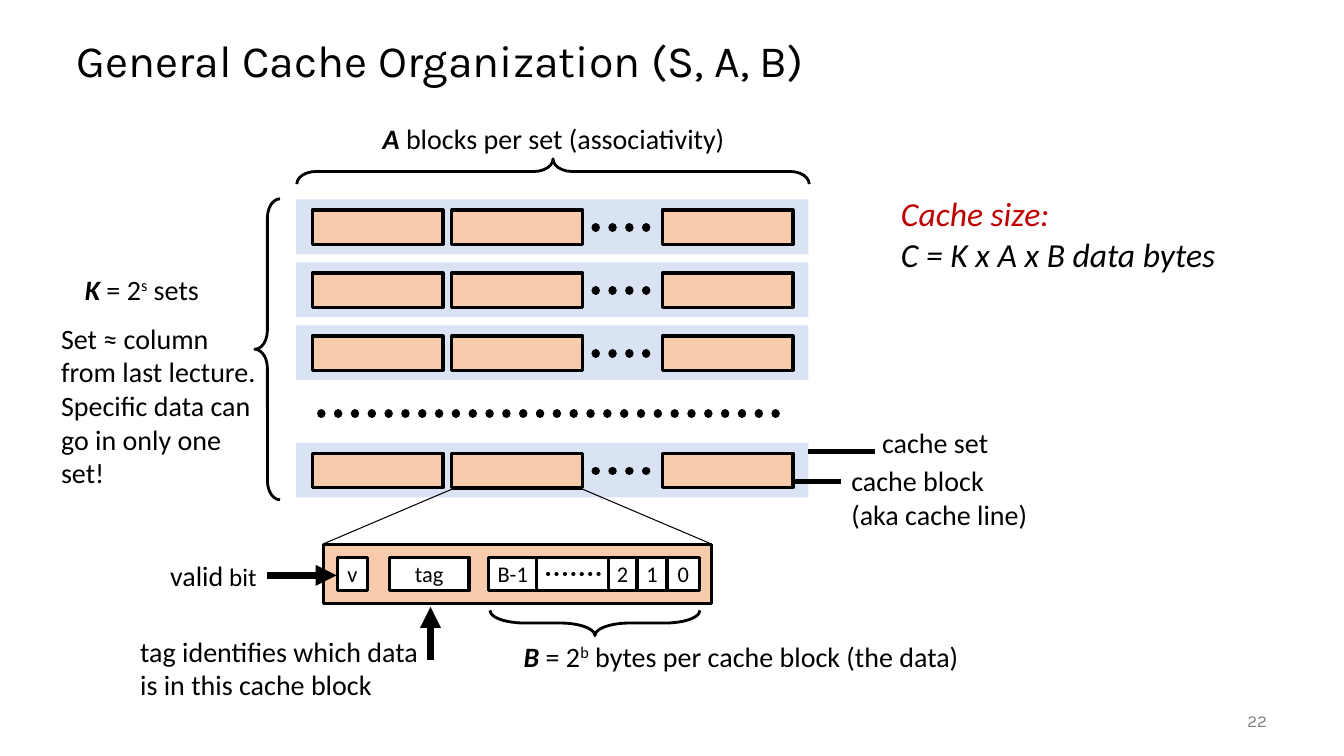
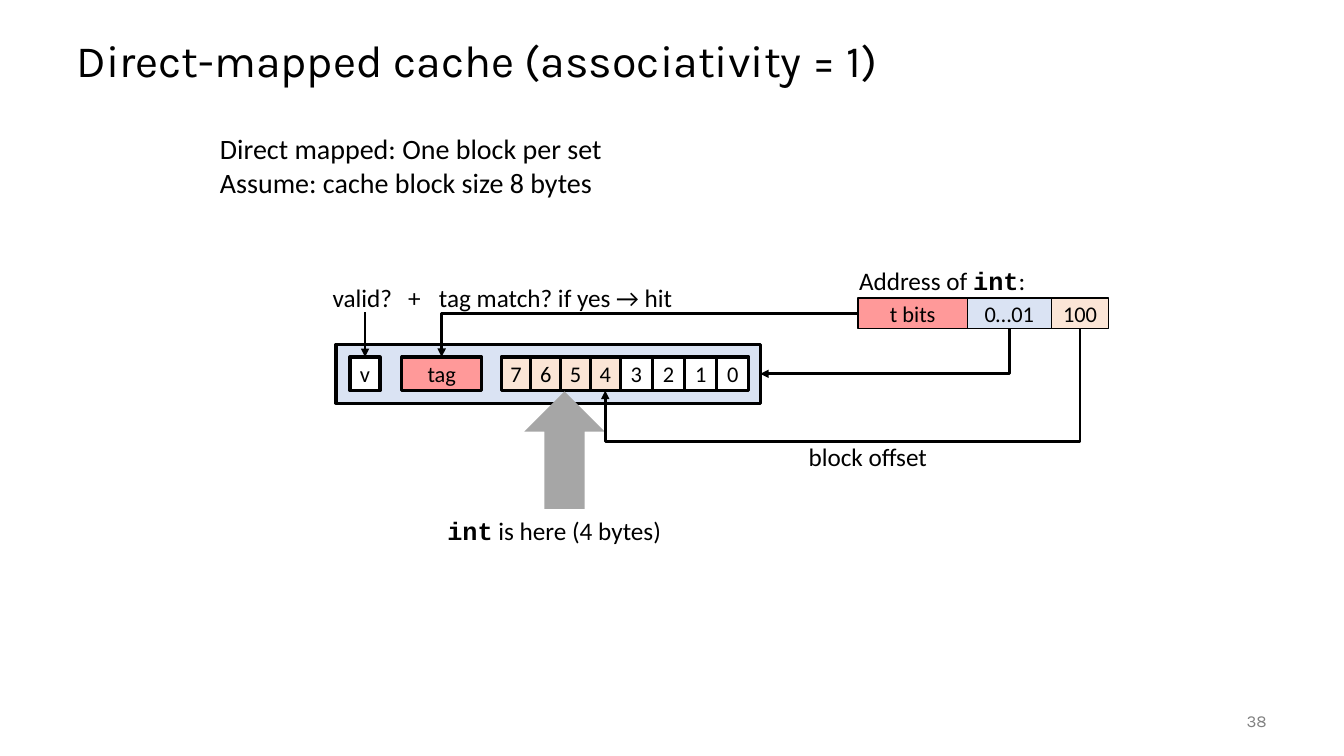
from dataclasses import dataclass

from lxml import etree
from pptx import Presentation
from pptx.dml.color import RGBColor as RGB
from pptx.enum.dml import MSO_LINE as Dash
from pptx.enum.shapes import MSO_CONNECTOR as Wire, MSO_SHAPE as Form
from pptx.enum.text import MSO_ANCHOR as Anchor, PP_ALIGN as Align
from pptx.oxml.ns import qn
from pptx.util import Pt


@dataclass(frozen=True)
class Theme:
    black: str = "000000"
    white: str = "FFFFFF"
    grey: str = "808080"
    steel: str = "A6A6A6"
    red: str = "C00000"
    pink: str = "FF9999"
    blue: str = "DAE3F3"
    peach: str = "F8CBAD"
    cream: str = "FBE5D6"
    body: str = "Calibri"
    head: str = "Karla"
    code: str = "Courier New"
    title: int = 32
    large: int = 24
    text: int = 20
    label: int = 18
    cell: int = 16
    note: int = 12


T = Theme()
STRONG = {"bold": True, "italic": True}
RAISED = {"raised": True}
CODE = {"font": T.code, "bold": True}


def write(shape, *paras, align=Align.LEFT, anchor=Anchor.TOP, wrap=False,
          space=None, **look):
    """Fill a shape with paragraphs; each is a string or a list of
    strings and (string, format) pairs that override the shared look."""
    frame = shape.text_frame
    frame.word_wrap = wrap
    frame.vertical_anchor = anchor
    for i, para in enumerate(paras):
        line = frame.add_paragraph() if i else frame.paragraphs[0]
        line.alignment = align
        line.line_spacing = space
        for part in [para] if isinstance(para, str) else para:
            words, own = (part, {}) if isinstance(part, str) else part
            form = {"size": T.text, "font": T.body, "color": T.black} | look | own
            run = line.add_run()
            run.text = words
            run.font.name = form["font"]
            run.font.size = Pt(form["size"])
            run.font.color.rgb = RGB.from_string(form["color"])
            run.font.bold = form.get("bold", False)
            run.font.italic = form.get("italic", False)
            if form.get("raised"):
                run._r.get_or_add_rPr().set("baseline", "30000")


def draw(page, kind, at, fill=None, weight=0, dots=False, arrow=None, adj=(), turn=0):
    """Add a shape (left, top, width, height) or a connector (x1, y1, x2, y2)."""
    wire = isinstance(kind, Wire)
    add = page.shapes.add_connector if wire else page.shapes.add_shape
    item = add(kind, *map(Pt, at))
    if weight:
        item.line.color.rgb = RGB.from_string(T.black)
        item.line.width = Pt(weight)
    else:
        item.line.fill.background()
    if wire:
        props = item._element.spPr
        edge = props.find(qn("a:ln"))
        if dots:
            item.line.dash_style = Dash.ROUND_DOT
            edge.set("cap", "rnd")
        if arrow:
            etree.SubElement(edge, qn(f"a:{arrow}End"), type="triangle")
        etree.SubElement(props, qn("a:effectLst"))
        return item
    item.shadow.inherit = False
    item.rotation = turn
    for i, value in enumerate(adj):
        item.adjustments[i] = value
    if fill:
        item.fill.solid()
        item.fill.fore_color.rgb = RGB.from_string(fill)
    else:
        item.fill.background()
    return item


deck = Presentation()
deck.slide_width, deck.slide_height = Pt(960), Pt(540)

# Titles and slide numbers
pages = []
for title, number in [("General Cache Organization (S, A, B)", "22"),
                      ("Direct-mapped cache (associativity = 1)", "38")]:
    page = deck.slides.add_slide(deck.slide_layouts[5])
    name = page.shapes.title
    name.left, name.top, name.width, name.height = map(Pt, (47.5, 18, 864, 54))
    write(name, title, size=T.title, font=T.head, anchor=Anchor.MIDDLE,
          wrap=True, space=0.9)
    foot = page.shapes.add_textbox(*map(Pt, (840, 500.5, 72, 28.5)))
    write(foot, number, size=T.note, font=T.head, color=T.grey,
          align=Align.RIGHT, anchor=Anchor.MIDDLE, wrap=True)
    pages.append(page)
general, direct = pages

# Rows of sets, each with its blocks
for top in (142.5, 187.5, 232.5, 316.25):
    draw(general, Form.RECTANGLE, (211.5, top, 366, 39), T.blue)
    draw(general, Wire.STRAIGHT, (425.5, top + 20, 473, top + 20), weight=6, dots=True)
    for left in (223, 322.75, 473):
        draw(general, Form.RECTANGLE, (left, top + 7.5, 93.5, 24.5), T.peach, 2.25)
draw(general, Wire.STRAIGHT, (229.5, 295.5, 566, 295.5), weight=6, dots=True)
draw(general, Form.TRAPEZOID, (231, 349.5, 277, 39), weight=0.75, adj=[2.35])

# One block in detail on each slide: valid bit, tag, bytes
wide = [("B-1", 34.5), ("", 51), ("2", 20.5), ("1", 21.5), ("0", 23)]
strips = [
    (general, 231, 389, 277, T.peach, T.white,
     [(text, width, T.white) for text, width in wide]),
    (direct, 240, 246, 303, T.blue, T.pink,
     [(str(n), 21.25 if n > 3 else 23, T.cream if n > 3 else T.white)
      for n in range(7, -1, -1)]),
]
for page, left, top, width, back, tint, data in strips:
    block = draw(page, Form.RECTANGLE, (left, top, width, 42), back, 2.25)
    cells = [("v", left + 10, 21.5, T.white), ("tag", left + 47, 57, tint)]
    x = left + 118
    for text, width, fill in data:
        cells.append((text, x, width, fill))
        x += width
    parts = {}
    for text, x, width, fill in cells:
        cell = draw(page, Form.RECTANGLE, (x, top + 9, width, 24), fill, 2.25)
        if text:
            write(cell, text, size=T.cell, align=Align.CENTER, anchor=Anchor.MIDDLE)
        parts[text] = cell

# General organization: braces, pointers and dots
for at, bend, turn in [((386, -60.5, 18, 366), 0.75, 90),
                       ((182, 142, 18, 215), 0.75, 0),
                       ((416, 370, 18, 150), 1.37, 270)]:
    draw(general, Form.LEFT_BRACE, at, weight=2, adj=[bend, 0.5], turn=turn)
for at, weight, arrow in [((577, 322.5, 625, 322.5), 3, None),
                          ((565.5, 344, 600.5, 344), 3, None),
                          ((191, 411, 240.5, 411), 5, "tail"),
                          ((307.5, 471.5, 307.5, 433.5), 5, "tail")]:
    draw(general, Wire.STRAIGHT, at, weight=weight, arrow=arrow)
draw(general, Wire.STRAIGHT, (391.5, 410, 428, 410), weight=3, dots=True)

# Direct-mapped cache: address fields
fields = []
x = 613
for text, width, fill in [("t bits", 78, T.pink), ("0…01", 60, T.blue),
                          ("100", 41, T.cream)]:
    field = draw(direct, Form.RECTANGLE, (x, 213, width, 21.5), fill, 1)
    write(field, text, size=T.cell, align=Align.CENTER, anchor=Anchor.MIDDLE, wrap=True)
    fields.append(field)
    x += width
tbits, index, offset = fields

# Direct-mapped cache: arrows
draw(direct, Form.UP_ARROW, (374.5, 279.5, 57.5, 84), T.steel)
draw(direct, Wire.STRAIGHT, (260.75, 223, 260.75, 255), weight=2, arrow="tail")
TOP, LEFT, BOTTOM, RIGHT = range(4)
low = offset.top + offset.height
end = parts["4"].top + parts["4"].height
drop = round((Pt(315.5) - low) / (end - low) * 100000)
for start, side, goal, face, arrow, bend, adjust in [
        (tbits, LEFT, parts["tag"], TOP, "tail", 2, []),
        (block, RIGHT, index, BOTTOM, "head", 2, []),
        (offset, BOTTOM, parts["4"], BOTTOM, "tail", 4, [0, drop])]:
    route = draw(direct, Wire.ELBOW, (0, 0, 9, 9), weight=2, arrow=arrow)
    route.begin_connect(start, side)
    route.end_connect(goal, face)
    shape = route._element.spPr.find(qn("a:prstGeom"))
    shape.set("prst", f"bentConnector{bend}")
    for i, value in enumerate(adjust, 1):
        etree.SubElement(shape.find(qn("a:avLst")), qn("a:gd"),
                         name=f"adj{i}", fmla=f"val {value}")

# Labels on both slides
small = {"size": T.label}
wrapped = {"wrap": True}
labels = [
    (general, (240.5, 83, 310, 31.5), {"wrap": True, "align": Align.CENTER},
     [[("A", STRONG), " blocks per set (associativity)"]]),
    (general, (53.5, 191, 98, 31.5), {},
     [[("K", STRONG), " = 2", ("s", RAISED), " sets"]]),
    (general, (623, 300.5, 91.5, 31.5), {}, ["cache set"]),
    (general, (601, 327.5, 142, 55.5), {}, ["cache block", "(aka cache line)"]),
    (general, (367, 453, 329, 31.5), {},
     [[("B", STRONG), " = 2", ("b", RAISED), " bytes per cache block (the data)"]]),
    (general, (636.5, 134.5, 241, 65.5), {"size": T.large, "italic": True},
     [[("Cache size:", {"color": T.red})], "C = K x A x B data bytes"]),
    (general, (114.5, 395.5, 77, 31.5), {}, [["valid", (" bit", small)]]),
    (general, (36.5, 226, 154, 128), wrapped,
     ["Set ≈ column from last lecture.", "Specific data can go in only one set!"]),
    (general, (93, 449.5, 220.5, 55.5), wrapped,
     ["tag identifies which data is in this cache block"]),
    (direct, (150, 90.5, 290, 55.5), {},
     ["Direct mapped: One block per set", "Assume: cache block size 8 bytes"]),
    (direct, (306.5, 198, 188.5, 29), small, ["tag match? if yes → hit"]),
    (direct, (230.5, 198, 57, 29), small, ["valid?"]),
    (direct, (284.5, 198, 24, 29), small, ["+"]),
    (direct, (312.5, 364.5, 169, 29), small, [[("int", CODE), " is here (4 bytes)"]]),
    (direct, (570.5, 312, 102, 29), small, ["block offset"]),
    (direct, (606.5, 186, 134.5, 29), small, [["Address of ", ("int", CODE), ":"]]),
]
for page, at, look, paras in labels:
    write(page.shapes.add_textbox(*map(Pt, at)), *paras, **look)

deck.save("out.pptx")
